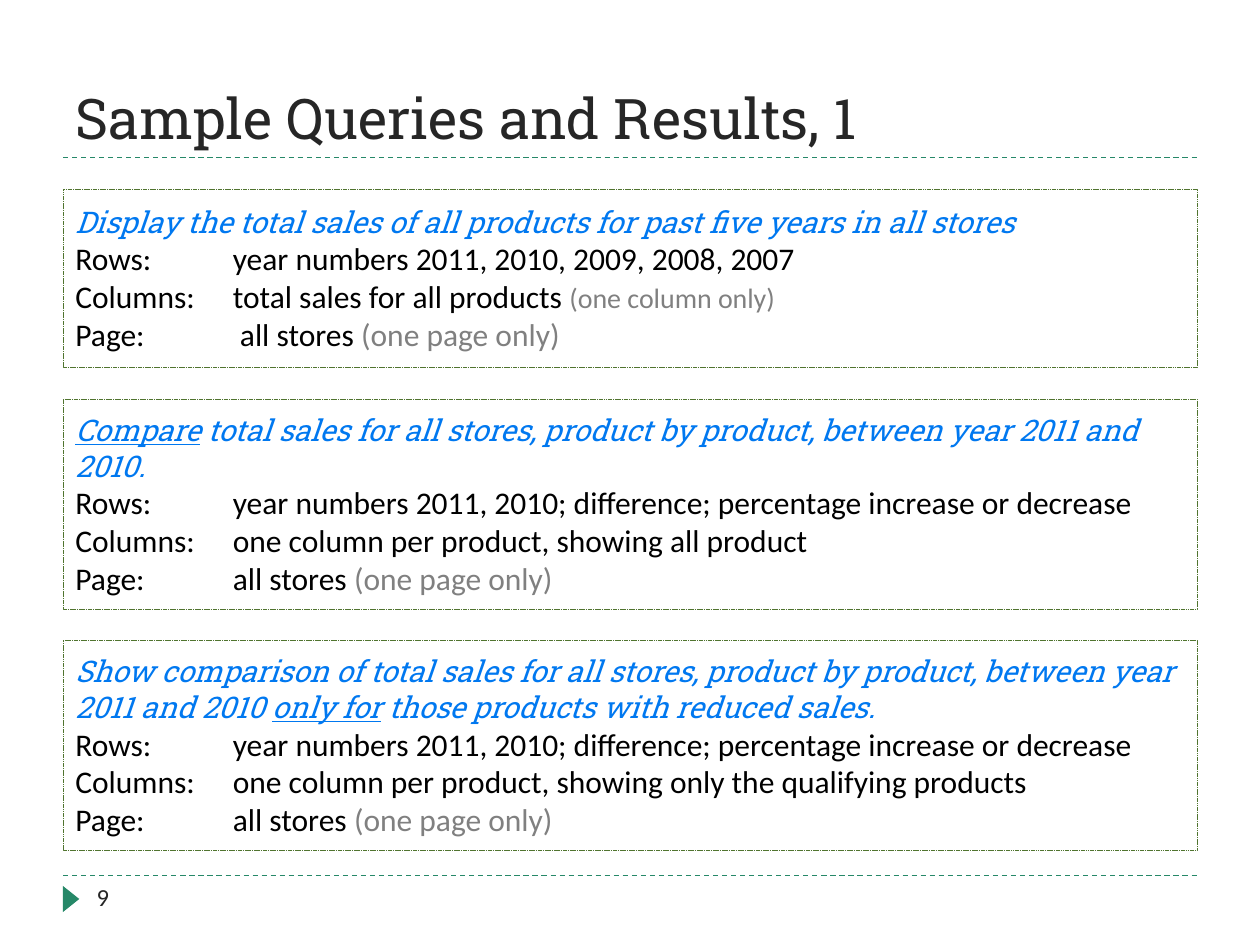
"""Builds the slide of sample queries and their results."""
import pptx
import pptx.util
import pptx.dml.color
import pptx.enum.dml
import pptx.enum.shapes
import pptx.enum.text
import pptx.oxml
import pptx.oxml.ns

Pt = pptx.util.Pt
DASH = pptx.enum.dml.MSO_LINE
SHAPE = pptx.enum.shapes.MSO_SHAPE
ANCHOR = pptx.enum.text.MSO_ANCHOR
ALIGN = pptx.enum.text.PP_ALIGN

TITLE = "Sample Queries and Results, 1"
PAGE_NUMBER = "9"
LEFT, WIDTH = 36, 648
GREEN, DARK = "268868", "262626"
RULES = [90, 500.4]
TAB = 90

HEADING = dict(name="Roboto Slab", size=32, color=DARK)
NUMBER = dict(name="Calibri", size=14, color=DARK)
QUERY = dict(name="Roboto Slab", size=17, color="0078F0", italic=True)
STRESS = dict(QUERY, underline=True)
BODY = dict(name="Calibri", size=18, color="000000")
NOTE = dict(BODY, color="808080")
SMALL_NOTE = dict(NOTE, size=16)

ONE_PAGE = ("(one page only)", NOTE)
COMPARED_ROWS = [("year numbers 2011, 2010; difference; percentage increase or decrease", BODY)]
QUERIES = [
    dict(top=108, height=102,
         query=[("Display the total sales of all products for past five years in all stores", QUERY)],
         rows=[("year numbers 2011, 2010, 2009, 2008, 2007", BODY)],
         columns=[("total sales for all products ", BODY), ("(one column only)", SMALL_NOTE)],
         page=[(" all stores ", BODY), ONE_PAGE]),
    dict(top=228, height=120,
         query=[("Compare", STRESS),
                (" total sales for all stores, product by product, between year 2011 and 2010.", QUERY)],
         rows=COMPARED_ROWS,
         columns=[("one column per product, showing all product", BODY)],
         page=[("all stores ", BODY), ONE_PAGE]),
    dict(top=366, height=120,
         query=[("Show comparison of total sales for all stores, product by product, "
                 "between year 2011 and 2010 ", QUERY),
                ("only for", STRESS),
                (" those products with reduced sales.", QUERY)],
         rows=COMPARED_ROWS,
         columns=[("one column per product, showing only the qualifying products", BODY)],
         page=[("all stores ", BODY), ONE_PAGE]),
]


def rgb(value):
    return pptx.dml.color.RGBColor.from_string(value)


def add_runs(p, runs):
    p.alignment = ALIGN.LEFT
    for text, style in runs:
        r = p.add_run()
        r.text = text
        for key, value in style.items():
            if key == "color":
                r.font.color.rgb = rgb(value)
            else:
                setattr(r.font, key, Pt(value) if key == "size" else value)


def set_frame(tf, anchor):
    tf.word_wrap = True
    tf.auto_size = pptx.enum.text.MSO_AUTO_SIZE.NONE
    tf.vertical_anchor = anchor


def set_line(line, color, width, dash):
    line.color.rgb = rgb(color)
    line.width = Pt(width)
    line.dash_style = dash


def add_tab(p, position):
    tabs = pptx.oxml.parse_xml(
        f'<a:tabLst {pptx.oxml.ns.nsdecls("a")}><a:tab pos="{Pt(position)}" algn="l"/></a:tabLst>')
    p._p.get_or_add_pPr().append(tabs)


def add_rule(s, y):
    line = s.shapes.add_connector(pptx.enum.shapes.MSO_CONNECTOR.STRAIGHT,
                                  Pt(LEFT), Pt(y), Pt(LEFT + WIDTH), Pt(y))
    set_line(line.line, GREEN, 0.75, DASH.DASH)
    line._element.spPr.append(
        pptx.oxml.parse_xml(f'<a:effectLst {pptx.oxml.ns.nsdecls("a")}/>'))


def add_filled(s, kind, x, y, w, h, color):
    sp = s.shapes.add_shape(kind, Pt(x), Pt(y), Pt(w), Pt(h))
    sp.shadow.inherit = False
    sp.fill.solid()
    sp.fill.fore_color.rgb = rgb(color)
    return sp


def add_query(s, item):
    sp = add_filled(s, SHAPE.RECTANGLE, LEFT, item["top"], WIDTH, item["height"], "FFFFFF")
    set_line(sp.line, "50742F", 0.25, DASH.SQUARE_DOT)
    sp.line._get_or_add_ln().prstDash.set("val", "sysDash")
    tf = sp.text_frame
    set_frame(tf, ANCHOR.MIDDLE)
    add_runs(tf.paragraphs[0], item["query"])
    for label in ("rows", "columns", "page"):
        p = tf.add_paragraph()
        add_runs(p, [(f"{label.title()}: \t", BODY)] + item[label])
        add_tab(p, TAB)


def main():
    prs = pptx.Presentation()
    prs.slide_width, prs.slide_height = Pt(720), Pt(540)
    s = prs.slides.add_slide(prs.slide_layouts[5])

    title = s.shapes.title
    title.left, title.top, title.width, title.height = Pt(LEFT), Pt(18), Pt(WIDTH), Pt(72)
    set_frame(title.text_frame, ANCHOR.BOTTOM)
    add_runs(title.text_frame.paragraphs[0], [(TITLE, HEADING)])

    for y in RULES:
        add_rule(s, y)
    marker = add_filled(s, SHAPE.ISOSCELES_TRIANGLE, 33.1, 509, 15, 9.4, GREEN)
    marker.rotation = 90
    marker.line.fill.background()

    number = s.shapes.add_textbox(Pt(48.2), Pt(500.4), Pt(156), Pt(28.8))
    set_frame(number.text_frame, ANCHOR.TOP)
    add_runs(number.text_frame.paragraphs[0], [(PAGE_NUMBER, NUMBER)])

    for item in QUERIES:
        add_query(s, item)
    prs.save("out.pptx")


if __name__ == "__main__":
    main()
